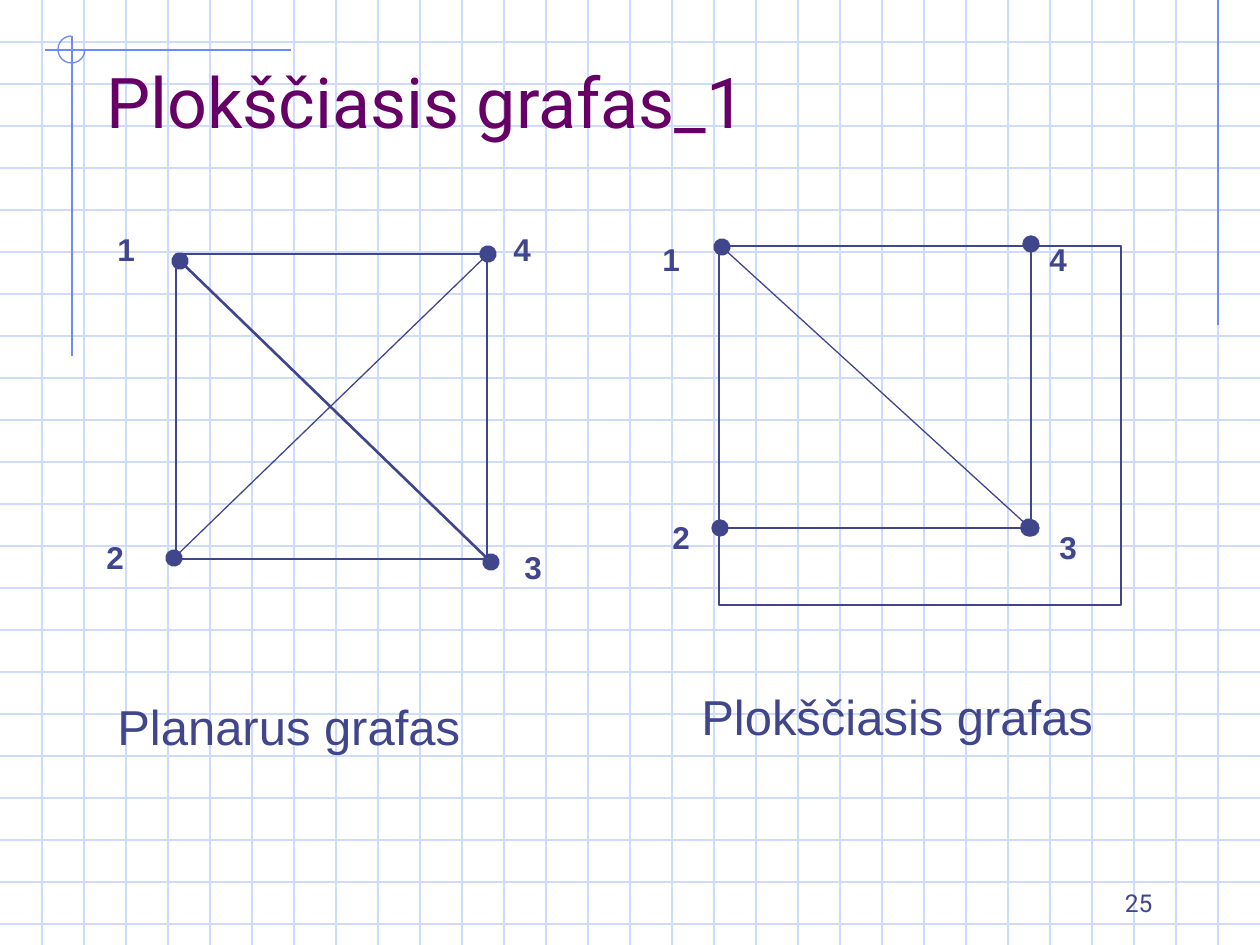
from lxml.etree import SubElement
from pptx import Presentation
from pptx.dml.color import RGBColor
from pptx.enum.shapes import MSO_CONNECTOR, MSO_SHAPE
from pptx.enum.text import MSO_ANCHOR, PP_ALIGN
from pptx.oxml.ns import qn
from pptx.util import Emu, Pt

SCALE = 914400 / 126
WIDTH, HEIGHT, GRID = 1260, 945, 42
INK, GRID_BLUE, ACCENT, PURPLE = "40458C", "CFDBFD", "6F89F7", "660066"


def px(length):
    return Emu(round(length * SCALE))


def colour(value):
    return RGBColor.from_string(value)


def add_line(page, start, end, tone, weight=0.75, dots=False):
    line = page.shapes.add_connector(
        MSO_CONNECTOR.STRAIGHT, *[px(value) for value in (*start, *end)]
    )
    line.line.color.rgb = colour(tone)
    line.line.width = Pt(weight)
    properties = line._element.spPr
    if dots:
        outline = properties.find(qn("a:ln"))
        for name in ("a:headEnd", "a:tailEnd"):
            SubElement(outline, qn(name), type="oval", w="lg", len="lg")
    SubElement(properties, qn("a:effectLst"))


def add_outline(page, kind, box, tone, weight=0.75):
    shape = page.shapes.add_shape(kind, *[px(value) for value in box])
    shape.shadow.inherit = False
    shape.fill.background()
    shape.line.color.rgb = colour(tone)
    shape.line.width = Pt(weight)
    return shape


def add_text(page, box, text, size, font="Arial", tone=INK, bold=False,
             align=PP_ALIGN.LEFT, anchor=MSO_ANCHOR.TOP):
    frame = page.shapes.add_textbox(*[px(value) for value in box]).text_frame
    frame.word_wrap = True
    frame.vertical_anchor = anchor
    para = frame.paragraphs[0]
    para.alignment = align
    span = para.add_run()
    span.text = text
    span.font.name = font
    span.font.size = Pt(size)
    span.font.bold = bold
    span.font.color.rgb = colour(tone)


def add_grid(page, width, height):
    for y in range(GRID, height, GRID):
        add_line(page, (0, y), (width, y), GRID_BLUE)
    for x in range(GRID, width, GRID):
        add_line(page, (x, 0), (x, height), GRID_BLUE)


def add_corner_mark(page, left, top):
    add_line(page, (left + 246, top + 14), (left, top + 14), ACCENT)
    add_line(page, (left + 27, top), (left + 27, top + 320), ACCENT)
    arc = add_outline(page, MSO_SHAPE.ARC, (left + 13, top, 27, 27), ACCENT)
    arc.adjustments[0] = 0
    arc.adjustments[1] = 162


def add_graph(page, box, weight, edges, labels, caption):
    left, top, width, height = box
    add_outline(page, MSO_SHAPE.RECTANGLE, box, INK, weight)
    for (x1, y1), (x2, y2), thickness in edges:
        add_line(page, (left + x1, top + y1), (left + x2, top + y2),
                 INK, thickness, dots=True)
    for number, (x, y) in enumerate(labels, start=1):
        add_text(page, (left + x, top + y, 58, 50), str(number), 18, bold=True)
    text, x, y, caption_width = caption
    add_text(page, (left + x, top + y, caption_width, 72), text, 28)


def main():
    deck = Presentation()
    deck.slide_width, deck.slide_height = px(WIDTH), px(HEIGHT)
    page = deck.slides.add_slide(deck.slide_layouts[6])
    page.background.fill.solid()
    page.background.fill.fore_color.rgb = colour("FFFFFF")

    add_grid(page, WIDTH, HEIGHT)
    add_line(page, (1218, 0), (1218, 325), ACCENT)
    add_corner_mark(page, 45, 36)
    add_text(page, (903, 861, 262, 63), "25", 14, "Roboto",
             align=PP_ALIGN.RIGHT, anchor=MSO_ANCHOR.BOTTOM)
    add_text(page, (94, 76, 1071, 73), "Plokščiasis grafas_1", 40, "Roboto",
             PURPLE, anchor=MSO_ANCHOR.BOTTOM)
    add_graph(
        page, (176, 254, 311, 305), 1,
        edges=[((4, 7), (315, 308), 1.5), ((-2, 304), (312, 0), 0.75)],
        labels=[(-71, -30), (-82, 278), (336, 288), (325, -30)],
        caption=("Planarus grafas", -71, 436, 417),
    )
    add_graph(
        page, (719, 246, 402, 359), 0.75,
        edges=[((312, -2), (312, 282), 0.75), ((1, 282), (310, 282), 0.75),
               ((3, 1), (310, 281), 0.75)],
        labels=[(-69, -12), (-59, 266), (328, 276), (318, -12)],
        caption=("Plokščiasis grafas", -30, 434, 476),
    )
    deck.save("out.pptx")


if __name__ == "__main__":
    main()
